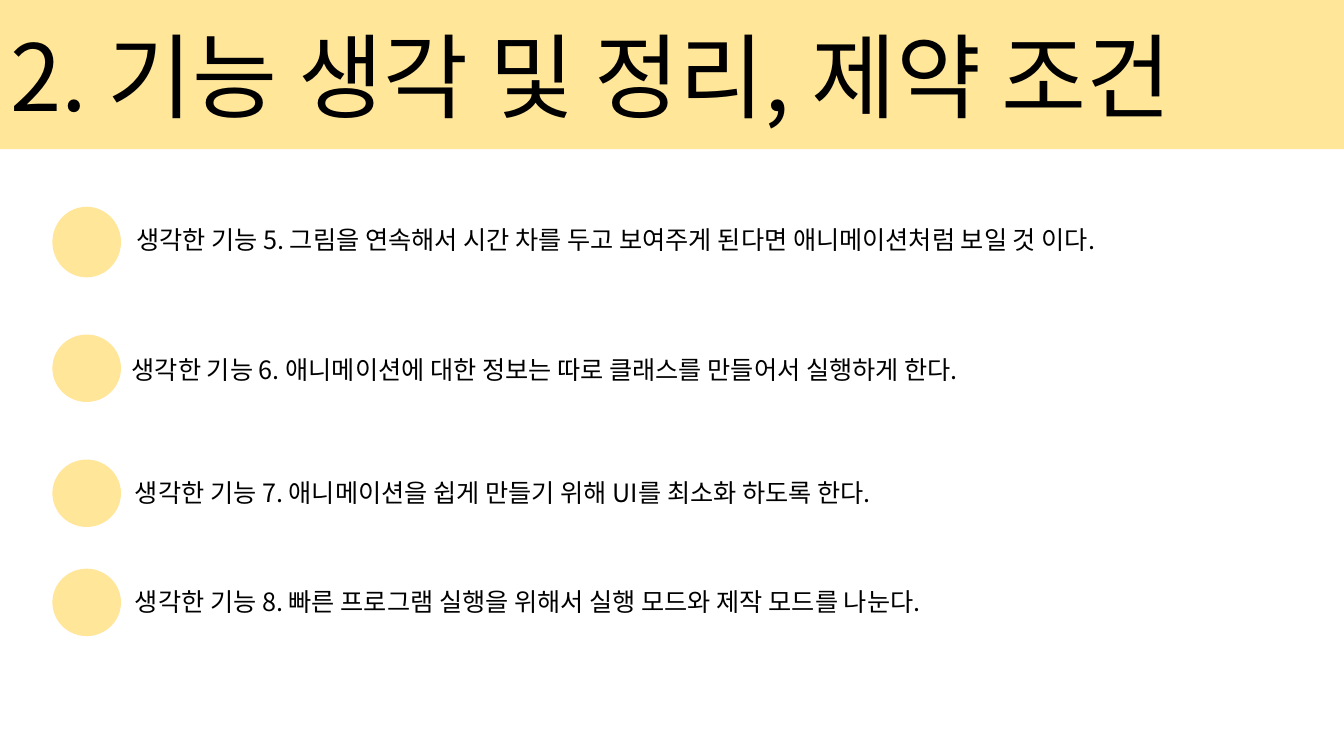
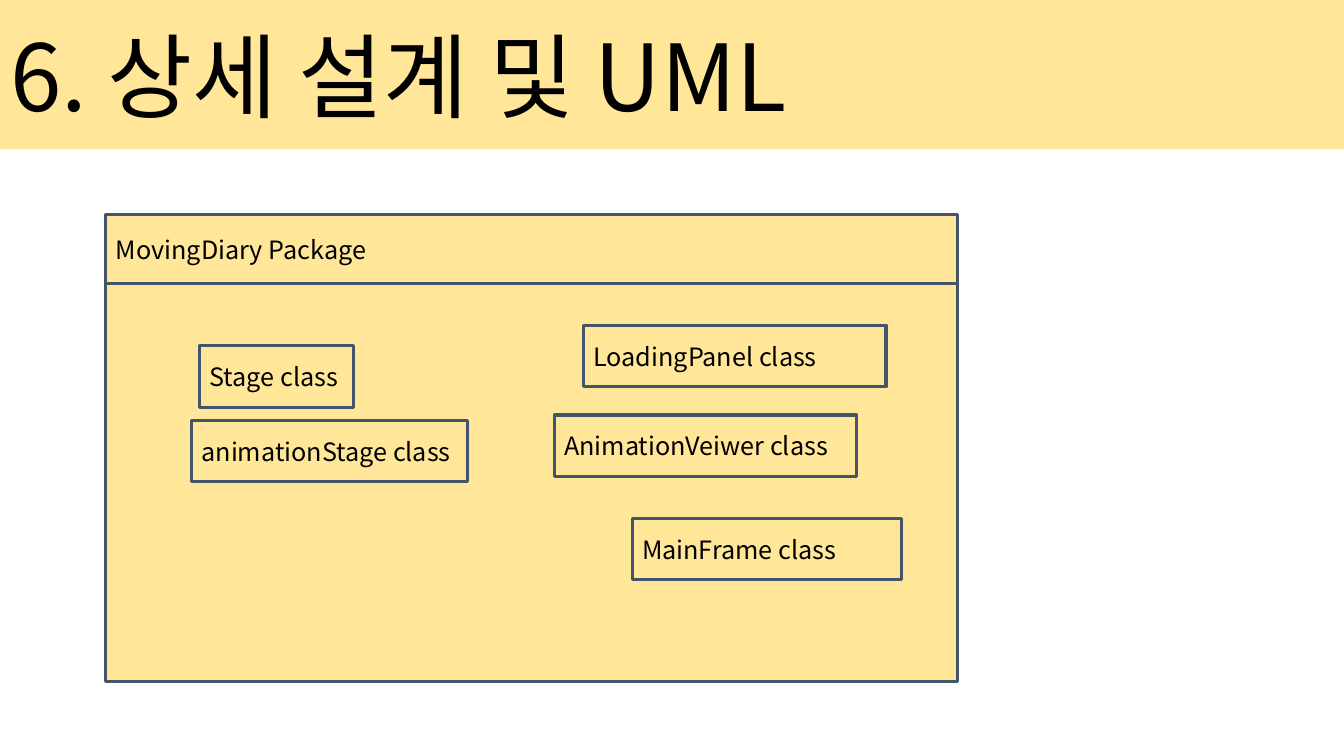
import pptx
import pptx.dml.color
import pptx.enum.shapes
import pptx.enum.text
import pptx.oxml.ns
import pptx.util
from lxml import etree

Cm = pptx.util.Cm
SHAPE = pptx.enum.shapes.MSO_SHAPE


class DiaryDeck:
    """Hold the shared style and the current slide, and draw each kind of element."""

    colors = {"band": "FFE699", "outline": "44546A", "text": "000000"}
    font = "Noto Sans CJK KR"
    title_size = 66
    body_size = 18
    width = Cm(33.87)
    height = Cm(19.05)
    band_height = Cm(3.76)

    def __init__(self):
        self.deck = pptx.Presentation()
        self.deck.slide_width = self.width
        self.deck.slide_height = self.height
        self.page = None

    def color(self, name):
        return pptx.dml.color.RGBColor.from_string(self.colors[name])

    def fill_shape(self, shape):
        shape.fill.solid()
        shape.fill.fore_color.rgb = self.color("band")

    def set_text(self, shape, text, size):
        frame = shape.text_frame
        frame.text = text
        frame.word_wrap = True
        frame.auto_size = pptx.enum.text.MSO_AUTO_SIZE.NONE
        frame.vertical_anchor = pptx.enum.text.MSO_ANCHOR.MIDDLE
        para = frame.paragraphs[0]
        para.alignment = pptx.enum.text.PP_ALIGN.LEFT
        for span in para.runs:
            span.font.size = pptx.util.Pt(size)
            span.font.name = self.font
            span.font.color.rgb = self.color("text")
            latin = span.font._element.find(pptx.oxml.ns.qn("a:latin"))
            east_asian = etree.Element(pptx.oxml.ns.qn("a:ea"), typeface=self.font)
            latin.addnext(east_asian)

    def add_page(self, title):
        self.page = self.deck.slides.add_slide(self.deck.slide_layouts[5])
        band = self.page.shapes.title
        band.left, band.top = 0, 0
        band.width, band.height = self.width, self.band_height
        self.fill_shape(band)
        self.set_text(band, title, self.title_size)

    def add_dot(self, left, top, width, height):
        dot = self.page.shapes.add_shape(
            SHAPE.OVAL, Cm(left), Cm(top), Cm(width), Cm(height))
        dot.shadow.inherit = False
        self.fill_shape(dot)
        dot.line.fill.background()

    def add_text(self, left, top, width, height, text):
        box = self.page.shapes.add_textbox(Cm(left), Cm(top), Cm(width), Cm(height))
        self.set_text(box, text, self.body_size)

    def add_group(self):
        return self.page.shapes.add_group_shape()

    def add_box(self, group, left, top, width, height, text=""):
        box = group.shapes.add_shape(
            SHAPE.RECTANGLE, Cm(left), Cm(top), Cm(width), Cm(height))
        box.shadow.inherit = False
        self.fill_shape(box)
        box.line.color.rgb = self.color("outline")
        box.line.width = pptx.util.Pt(2.25)
        if text:
            self.set_text(box, text, self.body_size)


FEATURES = [
    (5.21, 1.78, 3.18, 5.36, 27.94,
     "생각한 기능 5. 그림을 연속해서 시간 차를 두고 보여주게 된다면 애니메이션처럼 보일 것 이다."),
    (8.43, 1.7, 3.07, 8.64, 25.91,
     "생각한 기능 6. 애니메이션에 대한 정보는 따로 클래스를 만들어서 실행하게 한다."),
    (11.58, 1.7, 3.15, 11.73, 25.83,
     "생각한 기능 7. 애니메이션을 쉽게 만들기 위해 UI를 최소화 하도록 한다."),
    (14.33, 1.7, 3.15, 14.48, 24.64,
     "생각한 기능 8. 빠른 프로그램 실행을 위해서 실행 모드와 제작 모드를 나눈다."),
]

CLASSES = [
    (15.93, 13.06, 6.78, "MainFrame class"),
    (13.97, 10.46, 7.62, "AnimationVeiwer class"),
    (5.03, 8.71, 3.89, "Stage class"),
    (4.83, 10.59, 6.96, "animationStage class"),
    (14.71, 8.2, 7.62, "LoadingPanel class"),
]


def build_features(diary):
    """Build the list of planned features."""
    diary.add_page("2. 기능 생각 및 정리, 제약 조건")
    for dot_top, dot_height, left, top, width, text in FEATURES:
        diary.add_dot(1.32, dot_top, 1.73, dot_height)
        diary.add_text(left, top, width, 1.35, text)


def build_package(diary):
    """Build the package diagram with its classes."""
    diary.add_page("6. 상세 설계 및 UML")
    package = diary.add_group()
    left, width = 2.67, 21.46
    diary.add_box(package, left, 7.11, width, 10.06)
    diary.add_box(package, left, 5.41, width, 1.73, "MovingDiary Package")
    for class_left, top, class_width, name in CLASSES:
        diary.add_box(package, class_left, top, class_width, 1.55, name)


def main():
    """Build and save the deck."""
    diary = DiaryDeck()
    build_features(diary)
    build_package(diary)
    diary.deck.save("out.pptx")


if __name__ == "__main__":
    main()
